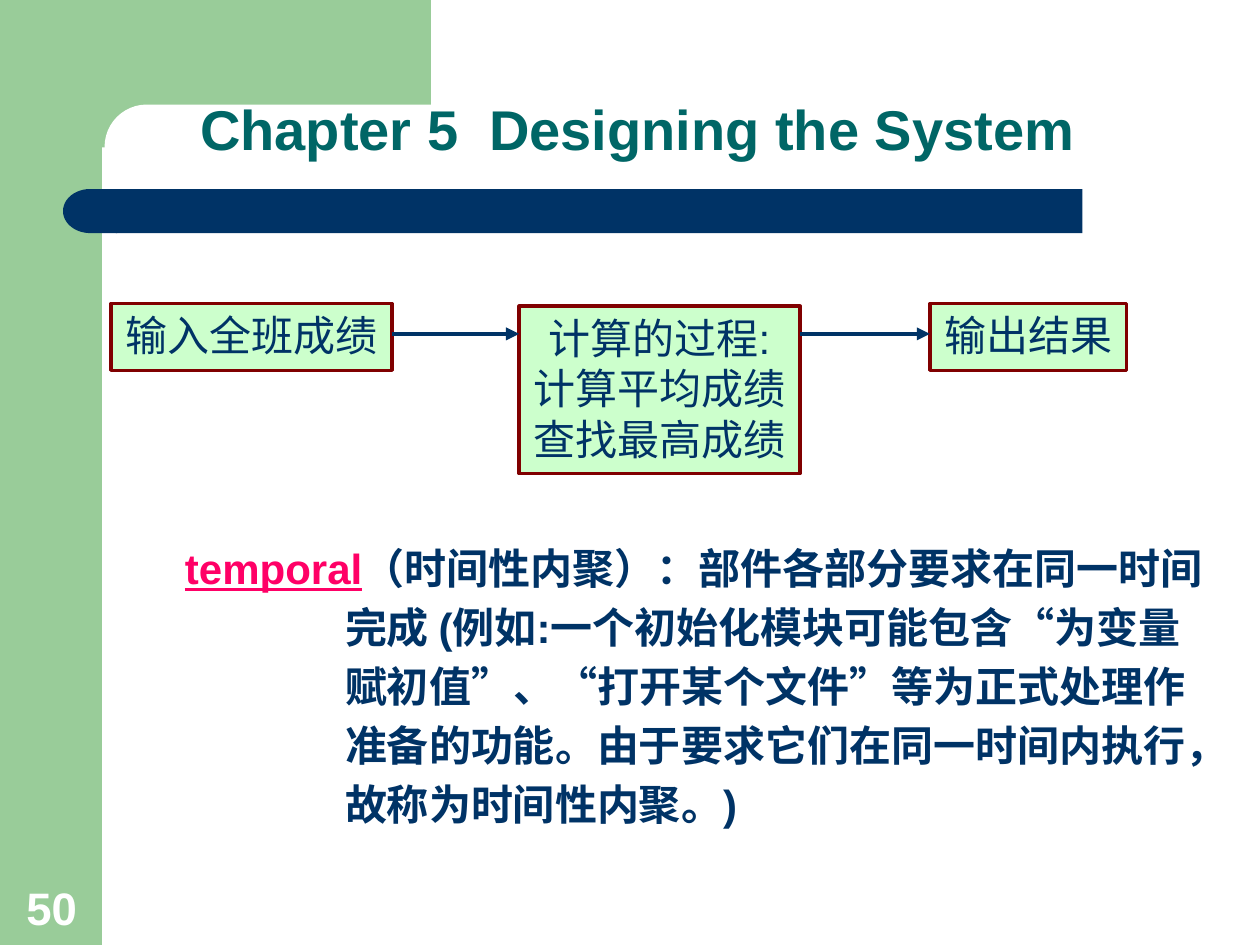
from itertools import groupby

from lxml import etree
from pptx import Presentation
from pptx.dml.color import RGBColor
from pptx.enum.shapes import MSO_CONNECTOR, MSO_SHAPE
from pptx.enum.text import MSO_ANCHOR, PP_ALIGN
from pptx.oxml.ns import qn
from pptx.util import Inches, Pt

RECT = MSO_SHAPE.RECTANGLE
ROUNDED = MSO_SHAPE.ROUNDED_RECTANGLE
DELAY = MSO_SHAPE.FLOWCHART_DELAY
STRAIGHT = MSO_CONNECTOR.STRAIGHT
TOP, BOTTOM = MSO_ANCHOR.TOP, MSO_ANCHOR.BOTTOM
CENTER = PP_ALIGN.CENTER

COLORS = {
    "green": "99CC99",
    "pale_green": "CCFFCC",
    "white": "FFFFFF",
    "navy": "003366",
    "teal": "006666",
    "pink": "FF0066",
    "maroon": "800000",
}
FONT, QUOTE_FONT = "Arial", "Times New Roman"
QUOTES = "“”"

TERM = "temporal"
DEFINITION = [
    "（时间性内聚）：部件各部分要求在同一时间",
    "完成 (例如:一个初始化模块可能包含“为变量",
    "赋初值”、“打开某个文件”等为正式处理作",
    "准备的功能。由于要求它们在同一时间内执行，",
    "故称为时间性内聚。)",
]
STEPS = [
    ((0.88, 2.41, 2.23, 0.53), ["输入全班成绩"]),
    ((4.12, 2.43, 2.23, 1.33), ["计算的过程:", "计算平均成绩", "查找最高成绩"]),
    ((7.38, 2.41, 1.56, 0.53), ["输出结果"]),
]
ARROW_Y = 2.65


def color(name):
    return RGBColor.from_string(COLORS[name])


def inches(box):
    return [Inches(value) for value in box]


def add_block(slide, kind, box, fill):
    """Add a preset shape with a plain fill and neither line nor shadow."""
    shape = slide.shapes.add_shape(kind, *inches(box))
    shape.shadow.inherit = False
    shape.fill.solid()
    shape.fill.fore_color.rgb = color(fill)
    shape.line.fill.background()
    return shape


def add_text_frame(slide, box, anchor):
    frame = slide.shapes.add_textbox(*inches(box)).text_frame
    frame.word_wrap = True
    frame.vertical_anchor = anchor
    return frame


def style(span, size, fill, bold=False, font=FONT):
    span.font.name = font
    span.font.size = Pt(size)
    span.font.bold = bold
    span.font.color.rgb = color(fill)


def add_side_frame(slide, box):
    """Green side band and top block, with a white rounded inner corner."""
    left, top, width, height = box
    add_block(slide, RECT, (left, top, 0.81, height), "green")
    add_block(slide, RECT, (left + 0.73, top, 2.69, 1.17), "green")
    corner = add_block(slide, ROUNDED, (left + 0.83, top + 0.83, 5.58, 0.67), "white")
    corner.adjustments[0] = 0.5


def add_title_bar(slide, box):
    left, top, width, height = box
    cap = 0.43
    add_block(slide, RECT, (left + cap - 0.01, top, width - cap + 0.01, height), "navy")
    add_block(slide, DELAY, (left, top, cap, height), "navy").rotation = 180


def add_line_of_text(slide, box, text, size, fill):
    para = add_text_frame(slide, box, BOTTOM).paragraphs[0]
    para.text = text
    style(para.runs[0], size, fill, bold=True)
    return para


def add_step(slide, box, lines):
    shape = add_block(slide, RECT, box, "pale_green")
    shape.line.color.rgb = color("maroon")
    shape.line.width = Pt(2)
    frame = shape.text_frame
    frame.text = "\n".join(lines)
    frame.word_wrap = False
    frame.vertical_anchor = TOP
    for para in frame.paragraphs:
        para.alignment = CENTER
        style(para.runs[0], 24, "navy")


def add_arrow(slide, start, end, y):
    arrow = slide.shapes.add_connector(STRAIGHT, *inches((start, y, end, y)))
    arrow.line.color.rgb = color("navy")
    arrow.line.width = Pt(2.5)
    line = arrow.line._get_or_add_ln()
    etree.SubElement(line, qn("a:tailEnd"), type="triangle")
    etree.SubElement(arrow._element.spPr, qn("a:effectLst"))


def add_flow(slide, steps):
    """Process boxes, each joined to the next by an arrow."""
    for box, lines in steps:
        add_step(slide, box, lines)
    for (box, _), (following, _) in zip(steps, steps[1:]):
        add_arrow(slide, box[0] + box[2], following[0], ARROW_Y)


def add_definition(slide, box, term, lines):
    """Term followed by its definition, with later lines indented."""
    frame = add_text_frame(slide, box, TOP)
    indent = Inches(1.27)
    for index, text in enumerate(lines):
        para = frame.paragraphs[0] if index == 0 else frame.add_paragraph()
        properties = para._p.get_or_add_pPr()
        properties.set("marL", str(indent))
        if index == 0:
            properties.set("indent", str(-indent))
            span = para.add_run()
            span.text = term
            style(span, 24, "pink", bold=True)
            span.font.underline = True
        else:
            para.space_before = Pt(4.8)
        for is_quote, letters in groupby(text, lambda letter: letter in QUOTES):
            span = para.add_run()
            span.text = "".join(letters)
            style(span, 24, "navy", True, QUOTE_FONT if is_quote else FONT)


def main():
    deck = Presentation()
    deck.slide_width, deck.slide_height = Inches(10), Inches(7.5)
    slide = deck.slides.add_slide(deck.slide_layouts[6])
    add_side_frame(slide, (0, 0, 10, 7.5))
    add_title_bar(slide, (0.5, 1.5, 8.09, 0.35))
    number = add_line_of_text(slide, (0.09, 6.94, 0.64, 0.53), "50", 26, "white")
    number.alignment = CENTER
    title = add_line_of_text(slide, (1.49, 0.42, 8.26, 0.92),
                             "Chapter 5  Designing the System", 32, "teal")
    title.line_spacing = 0.9
    add_definition(slide, (1.37, 4.26, 8.63, 3.24), TERM, DEFINITION)
    add_flow(slide, STEPS)
    deck.save("out.pptx")


if __name__ == "__main__":
    main()
